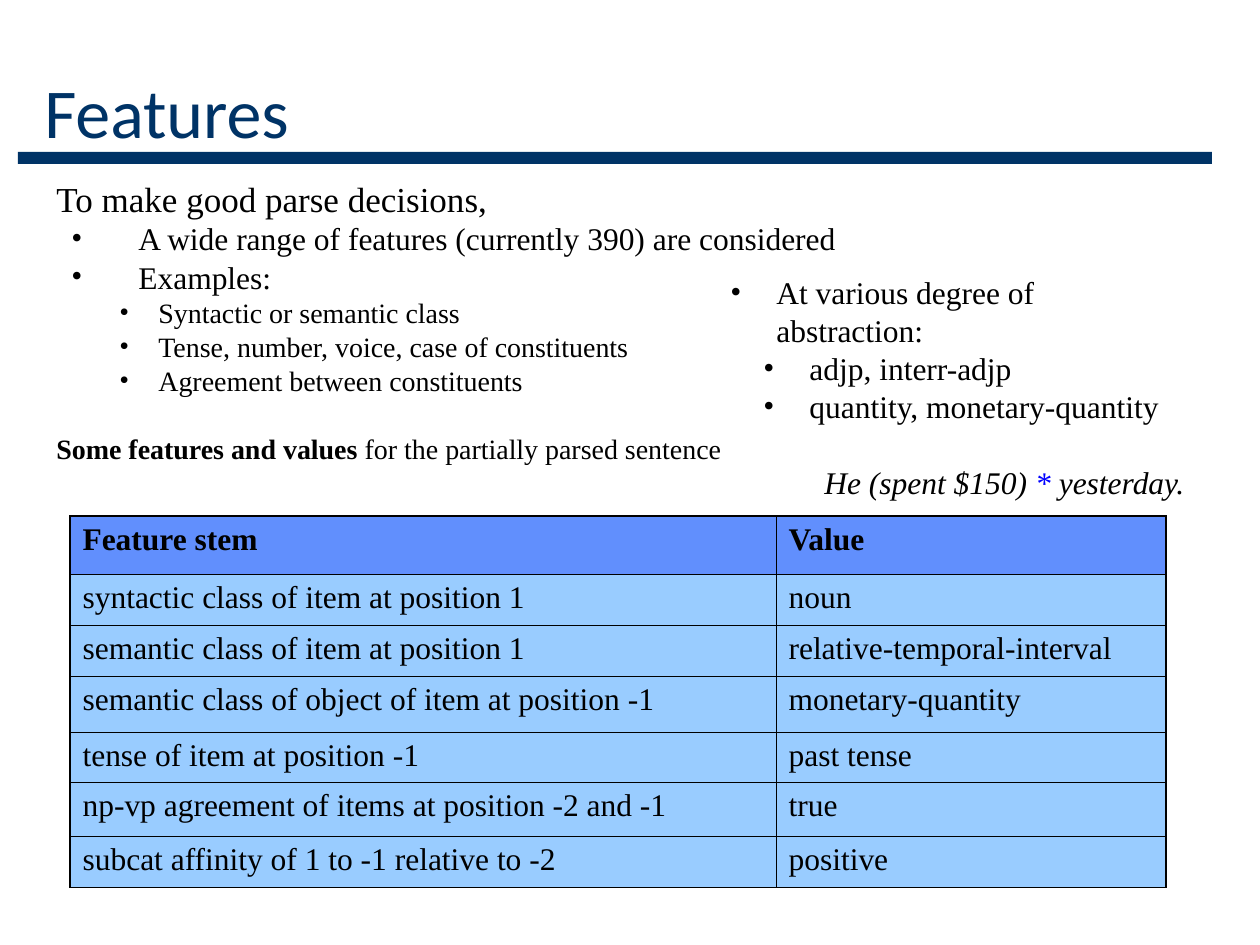
from pptx import Presentation
from pptx import util as u
from pptx.dml.color import RGBColor
from pptx.enum import shapes, text
from pptx.oxml.ns import qn
from lxml import etree

SCALE = 914400 / 126  # EMU per px
SERIF = "Times New Roman"
NAVY, BLACK, BLUE = "003366", "000000", "0000FF"
HEADER_FILL, BODY_FILL = "618FFD", "99CCFF"
OUTER, INNER = 1.08, 0.45  # border widths in points

TITLE = dict(at=(32, 53, 1166, 116), text="Features")
RULE = (18, 152, 1194, 12)

# Paragraph styles: size in points, left margin and hanging indent in px,
# space before in points, line spacing; a hanging indent carries a bullet
STYLES = {
    "lead": (20, 0, 0, 5, 0.8),
    "point": (18, 82, 67, 4.5, 0.8),
    "example": (16, 102, 39, 4, 0.8),
    "caption": (16, 0, 0, 23.4, 0.8),
    "degree": (18, 46, 46, 0, 1.0),
    "abstraction": (18, 79, 46, 0, 1.0),
    "sentence": (18, 94, 0, 26, 0.8),
}

# Each paragraph: style, then spans of (text, font changes)
OVERVIEW = dict(at=(44, 179, 874, 301), paragraphs=[
    ("lead", [("To make good parse decisions,", {})]),
    ("point", [("A wide range of features (currently 390) are considered", {})]),
    ("point", [("Examples:", {})]),
    ("example", [("Syntactic or semantic class", {})]),
    ("example", [("Tense, number, voice, case of constituents", {})]),
    ("example", [("Agreement between constituents", {})]),
    ("caption", [("Some features and values", {"bold": True}),
                 (" for the partially parsed sentence", {})]),
])
DEGREES = dict(at=(718, 267, 480, 241), paragraphs=[
    ("degree", [("At various degree of abstraction:", {})]),
    ("abstraction", [("adjp, interr-adjp", {})]),
    ("abstraction", [("quantity, monetary-quantity", {})]),
    ("sentence", [("He (spent $150) ", {"italic": True}),
                  ("*", {"italic": True, "color": BLUE}),
                  (" yesterday.", {"italic": True})]),
])

TABLE_CORNER = (70, 516)
COLUMN_WIDTHS = [706, 390]
ROW_HEIGHTS = [58, 51, 51, 56, 50, 54, 51]
FEATURES = [
    ("Feature stem", "Value"),
    ("syntactic class of item at position 1", "noun"),
    ("semantic class of item at position 1", "relative-temporal-interval"),
    ("semantic class of object of item at position -1", "monetary-quantity"),
    ("tense of item at position -1", "past tense"),
    ("np-vp agreement of items at position -2 and -1", "true"),
    ("subcat affinity of 1 to -1 relative to -2", "positive"),
]


def px(length):
    return u.Emu(round(length * SCALE))


def color(value):
    return RGBColor.from_string(value)


def set_font(font, size, name=SERIF, fill=BLACK, bold=False):
    font.size, font.name, font.bold = u.Pt(size), name, bold
    font.color.rgb = color(fill)


def add_box(page, at):
    frame = page.shapes.add_textbox(*map(px, at)).text_frame
    frame.word_wrap = True
    return frame


def add_bullet(properties):
    bullet_color = etree.SubElement(properties, qn("a:buClr"))
    etree.SubElement(bullet_color, qn("a:srgbClr"), val=BLACK)
    etree.SubElement(properties, qn("a:buFont"), typeface=SERIF)
    etree.SubElement(properties, qn("a:buChar"), char="•")


def add_title(page):
    frame = add_box(page, TITLE["at"])
    frame.vertical_anchor = text.MSO_ANCHOR.MIDDLE
    para = frame.paragraphs[0]
    para.text = TITLE["text"]
    set_font(para.font, 40, "Calibri", NAVY)


def add_rule(page):
    rule = page.shapes.add_shape(shapes.MSO_SHAPE.RECTANGLE, *map(px, RULE))
    rule.shadow.inherit = False
    rule.fill.solid()
    rule.fill.fore_color.rgb = color(NAVY)
    rule.line.fill.background()


def add_paragraphs(page, at, paragraphs):
    frame = add_box(page, at)
    for index, (style, spans) in enumerate(paragraphs):
        size, margin, hang, before, spacing = STYLES[style]
        para = frame.add_paragraph() if index else frame.paragraphs[0]
        properties = para._p.get_or_add_pPr()
        properties.set("marL", str(px(margin)))
        properties.set("indent", str(px(-hang)))
        if hang:
            add_bullet(properties)
        para.space_before, para.line_spacing = u.Pt(before), spacing
        set_font(para.font, size)
        for words, changes in spans:
            span = para.add_run()
            span.text = words
            if "bold" in changes:
                span.font.bold = True
            if "italic" in changes:
                span.font.italic = True
            if "color" in changes:
                span.font.color.rgb = color(changes["color"])


def set_borders(cell, widths):
    """Draw the left, right, top and bottom edges, ahead of the cell's fill."""
    properties = cell._tc.get_or_add_tcPr()
    for index, (side, width) in enumerate(zip("LRTB", widths)):
        line = etree.Element(qn(f"a:ln{side}"), w=str(u.Pt(width)))
        fill = etree.SubElement(line, qn("a:solidFill"))
        etree.SubElement(fill, qn("a:srgbClr"), val=BLACK)
        properties.insert(index, line)


def add_feature_table(page):
    size = (sum(COLUMN_WIDTHS), sum(ROW_HEIGHTS))
    table = page.shapes.add_table(len(FEATURES), len(COLUMN_WIDTHS),
                                  *map(px, TABLE_CORNER + size)).table
    for column, width in zip(table.columns, COLUMN_WIDTHS):
        column.width = px(width)
    last_row, last_column = len(FEATURES) - 1, len(COLUMN_WIDTHS) - 1
    for r, values in enumerate(FEATURES):
        table.rows[r].height = px(ROW_HEIGHTS[r])
        for c, value in enumerate(values):
            cell = table.cell(r, c)
            cell.fill.solid()
            cell.fill.fore_color.rgb = color(BODY_FILL if r else HEADER_FILL)
            edges = (c == 0, c == last_column, r == 0, r == last_row)
            set_borders(cell, [OUTER if edge else INNER for edge in edges])
            para = cell.text_frame.paragraphs[0]
            para.text = value
            para.space_before = u.Pt(4.5)
            set_font(para.font, 18, bold=r == 0)


def main():
    deck = Presentation()
    deck.slide_width, deck.slide_height = px(1260), px(945)
    page = deck.slides.add_slide(deck.slide_layouts[6])
    add_rule(page)
    add_title(page)
    add_paragraphs(page, **OVERVIEW)
    add_feature_table(page)
    add_paragraphs(page, **DEGREES)
    deck.save("out.pptx")


if __name__ == "__main__":
    main()
